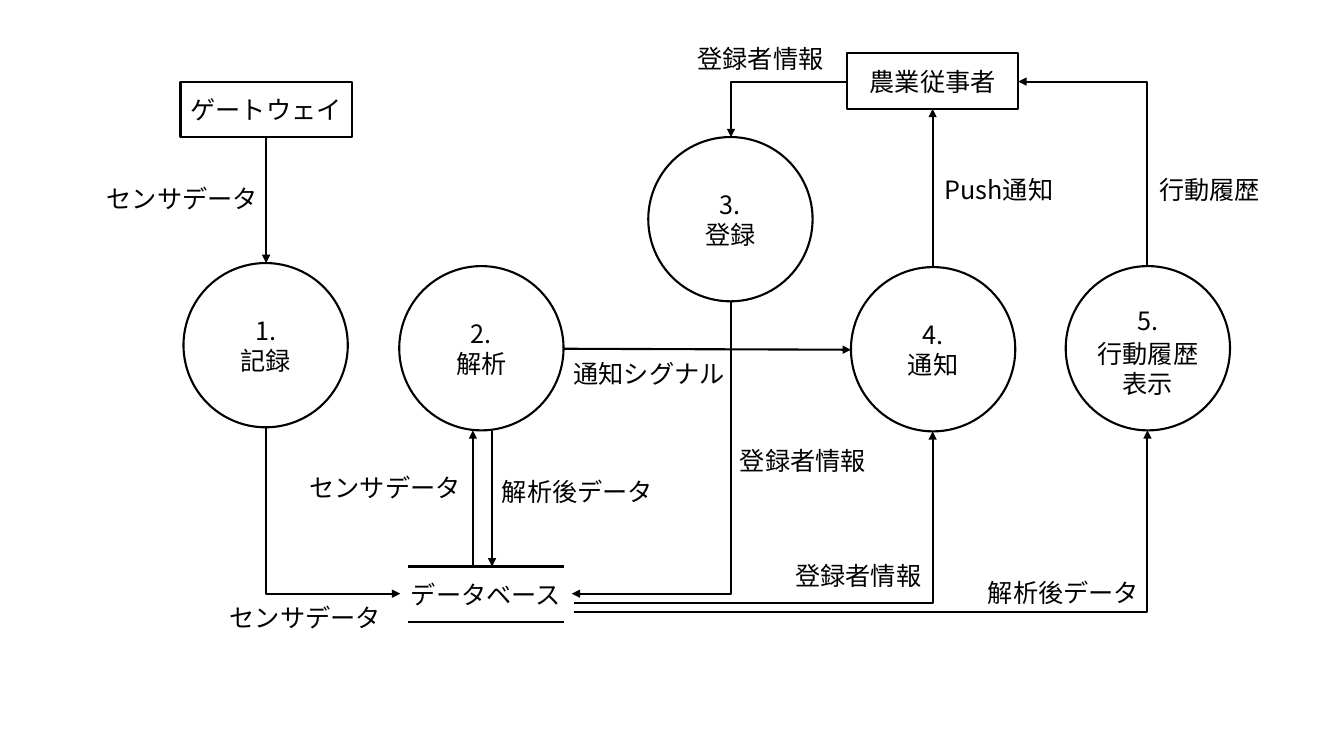
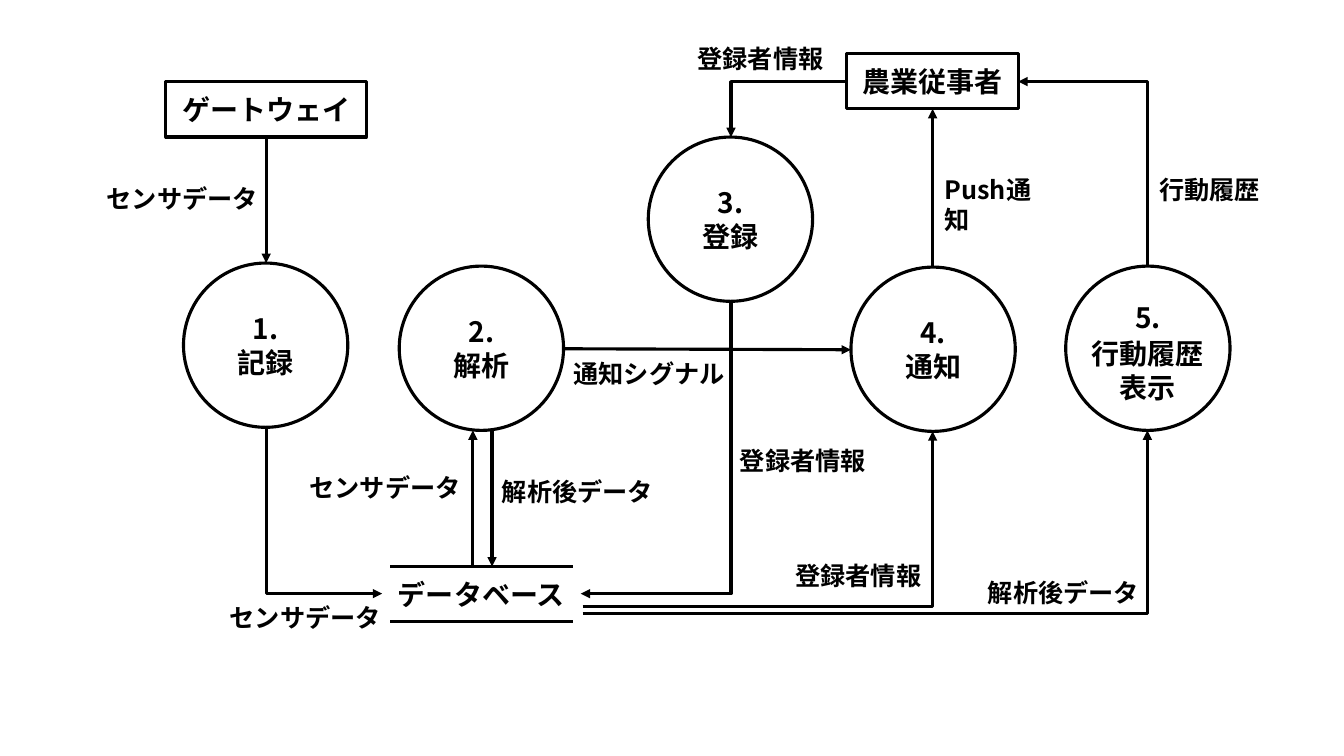
from lxml import etree
from pptx import Presentation
from pptx.dml.color import RGBColor
from pptx.enum.shapes import MSO_CONNECTOR, MSO_SHAPE
from pptx.enum.text import MSO_ANCHOR, MSO_AUTO_SIZE, PP_ALIGN
from pptx.oxml.ns import qn
from pptx.util import Inches, Pt

BLACK = RGBColor(0x00, 0x00, 0x00)
WHITE = RGBColor(0xFF, 0xFF, 0xFF)
FONT = "Noto Sans CJK JP"
RECT, OVAL = MSO_SHAPE.RECTANGLE, MSO_SHAPE.OVAL
STRAIGHT, ELBOW = MSO_CONNECTOR.STRAIGHT, MSO_CONNECTOR.ELBOW
CENTER, LEFT = PP_ALIGN.CENTER, PP_ALIGN.LEFT
MIDDLE, FIT_SHAPE = MSO_ANCHOR.MIDDLE, MSO_AUTO_SIZE.SHAPE_TO_FIT_TEXT

# What differs between the two slides
VARIANTS = [
    dict(bold=False, size=18, line=1.5, gateway_w=1.7,
         db_x=3.97, db_w=1.7, lanes=(5.98, 6.07)),
    dict(bold=True, size=20, line=2.25, gateway_w=1.99,
         db_x=3.79, db_w=1.97, lanes=(6.02, 6.09)),
]

# Processes: left, top, lines of text
DIAMETER = 1.63
PROCESSES = [
    (1.82, 2.61, ["1.", "記録"]),
    (3.96, 2.64, ["2.", "解析"]),
    (6.43, 1.36, ["3.", "登録"]),
    (8.44, 2.65, ["4.", "通知"]),
    (10.57, 2.64, ["5.", "行動履歴", "表示"]),
]

# Flow labels: left, top, width, text, wrapped
LABEL_SIZE, LABEL_H = 18, 0.4
LABELS = [
    (0.96, 1.77, 1.72, "センサデータ", False),
    (2.18, 5.93, 1.72, "センサデータ", False),
    (2.97, 4.64, 1.72, "センサデータ", False),
    (4.88, 4.68, 1.72, "解析後データ", False),
    (5.59, 3.51, 1.72, "通知シグナル", False),
    (7.24, 4.37, 1.46, "登録者情報", False),
    (6.82, 0.38, 1.46, "登録者情報", False),
    (9.27, 1.68, 1.3, "Push通知", True),
    (7.79, 5.51, 1.46, "登録者情報", False),
    (9.7, 5.68, 1.72, "解析後データ", False),
    (11.4, 1.68, 1.21, "行動履歴", False),
]

# Shared columns and rows
BOX_H = 0.55
GATEWAY_X, GATEWAY_Y = 2.64, 0.81
FARMER_X, FARMER_Y, FARMER_W = 8.4, 0.53, 1.7
REGISTER_X, NOTIFY_X, HISTORY_X = 7.25, 9.25, 11.38
DB_TOP, DB_MID = 5.62, 5.89
DB_EDGE_INSET, LANE_GAP = 0.08, 0.02
FARMER_MID = 0.81

# Straight arrows that both slides share: from, to
ARROWS = [
    ((GATEWAY_X, GATEWAY_Y + BOX_H), (GATEWAY_X, 2.61)),
    ((4.69, DB_TOP), (4.69, 4.27)),
    ((4.88, 4.28), (4.88, DB_TOP)),
    ((5.59, 3.46), (8.44, 3.47)),
    ((NOTIFY_X, 2.65), (NOTIFY_X, FARMER_Y + BOX_H)),
]

# Elbow pose by (starts vertical, goes right, goes down): rotation, flip
POSES = {
    (True, True, True): (270, "flipH"),
    (True, False, True): (90, None),
    (True, False, False): (270, "flipV"),
    (False, False, True): (180, "flipV"),
    (False, True, False): (0, "flipV"),
}


def write(tf, lines, size, bold, align):
    for i, line in enumerate(lines):
        p = tf.paragraphs[0] if i == 0 else tf.add_paragraph()
        p.add_run().text = line
        p.alignment = align
        p.font.size, p.font.bold = Pt(size), bold
        p.font.color.rgb = BLACK
        p.font.name = FONT
        props = p._p.pPr.find(qn("a:defRPr"))
        etree.SubElement(props, qn("a:ea"), typeface=FONT)


def add_node(shapes, kind, x, y, w, h, lines, style, outlined=True):
    sp = shapes.add_shape(kind, Inches(x), Inches(y), Inches(w), Inches(h))
    sp.shadow.inherit = False
    sp.fill.solid()
    sp.fill.fore_color.rgb = WHITE
    if outlined:
        sp.line.color.rgb = BLACK
        sp.line.width = Pt(style["line"])
    else:
        sp.line.fill.background()
    tf = sp.text_frame
    tf.word_wrap = True
    tf.vertical_anchor = MIDDLE
    tf.margin_left = tf.margin_right = tf.margin_top = tf.margin_bottom = 0
    write(tf, lines, style["size"], style["bold"], CENTER)
    if len(lines) > 2:
        tf.margin_top = Inches(0.08)
        tf.paragraphs[0].space_after = Pt(2)


def add_line(shapes, start, end, style, kind=STRAIGHT, arrow=True):
    c = shapes.add_connector(kind, *(Inches(v) for v in (*start, *end)))
    c.line.color.rgb = BLACK
    c.line.width = Pt(style["line"])
    if arrow:
        etree.SubElement(c.line._get_or_add_ln(), qn("a:tailEnd"), type="triangle")
    etree.SubElement(c._element.spPr, qn("a:effectLst"))
    return c


def add_elbow(shapes, start, end, vertical_first, style):
    c = add_line(shapes, start, end, style, ELBOW)
    spPr = c._element.spPr
    spPr.find(qn("a:prstGeom")).set("prst", "bentConnector2")
    rotation, flip = POSES[vertical_first, end[0] > start[0], end[1] > start[1]]
    if vertical_first:
        # A quarter turn swaps the sides around the same centre
        w, h = c.width, c.height
        c.left, c.top = c.left + (w - h) // 2, c.top + (h - w) // 2
        c.width, c.height = h, w
    xfrm = spPr.find(qn("a:xfrm"))
    for name in ("flipH", "flipV"):
        xfrm.attrib.pop(name, None)
    if rotation:
        xfrm.set("rot", str(rotation * 60000))
    if flip:
        xfrm.set(flip, "1")


def add_database(shapes, style):
    x, w = style["db_x"], style["db_w"]
    group = shapes.add_group_shape().shapes
    add_node(group, RECT, x, DB_TOP, w, BOX_H, ["データベース"], style, outlined=False)
    for y in (DB_TOP, DB_TOP + BOX_H):
        add_line(group, (x + DB_EDGE_INSET, y), (x + w - DB_EDGE_INSET, y),
                 style, arrow=False)


def add_label(shapes, x, y, w, text, wrapped, bold):
    tf = shapes.add_textbox(Inches(x), Inches(y), Inches(w), Inches(LABEL_H)).text_frame
    tf.word_wrap = wrapped
    tf.auto_size = FIT_SHAPE
    write(tf, [text], LABEL_SIZE, bold, LEFT)


def build_slide(prs, style):
    s = prs.slides.add_slide(prs.slide_layouts[6]).shapes

    # Outside parties and data store
    add_node(s, RECT, FARMER_X, FARMER_Y, FARMER_W, BOX_H, ["農業従事者"], style)
    gateway_w = style["gateway_w"]
    add_node(s, RECT, GATEWAY_X - gateway_w / 2, GATEWAY_Y, gateway_w, BOX_H,
             ["ゲートウェイ"], style)
    add_database(s, style)

    # Processes
    for x, y, lines in PROCESSES:
        add_node(s, OVAL, x, y, DIAMETER, DIAMETER, lines, style)

    # Flows
    for start, end in ARROWS:
        add_line(s, start, end, style)
    db_left = style["db_x"]
    db_right = db_left + style["db_w"]
    lane_x = db_right + LANE_GAP
    notify_lane, history_lane = style["lanes"]
    elbows = [
        ((GATEWAY_X, 4.23), (db_left, DB_MID), True),
        ((REGISTER_X, 2.99), (db_right, DB_MID), True),
        ((FARMER_X, FARMER_MID), (REGISTER_X, 1.36), False),
        ((lane_x, notify_lane), (NOTIFY_X, 4.28), False),
        ((lane_x, history_lane), (HISTORY_X, 4.27), False),
        ((HISTORY_X, 2.64), (FARMER_X + FARMER_W, FARMER_MID), True),
    ]
    for start, end, vertical_first in elbows:
        add_elbow(s, start, end, vertical_first, style)

    # Flow labels
    for label in LABELS:
        add_label(s, *label, style["bold"])


def main():
    prs = Presentation()
    prs.slide_width, prs.slide_height = Inches(13.33), Inches(7.5)
    for style in VARIANTS:
        build_slide(prs, style)
    prs.save("out.pptx")


if __name__ == "__main__":
    main()
